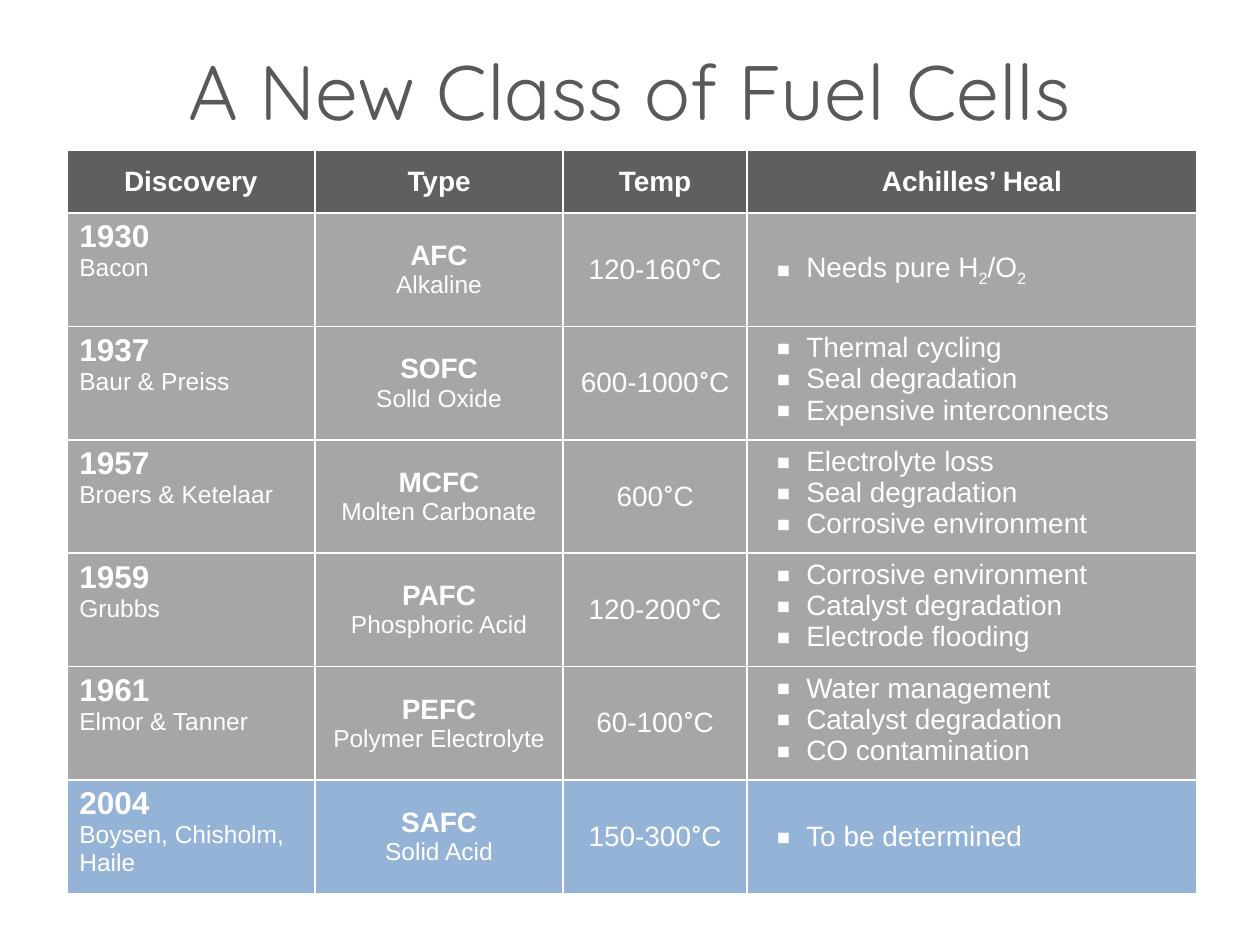
from lxml.etree import SubElement
from pptx import Presentation
from pptx.dml.color import RGBColor
from pptx.enum.text import MSO_ANCHOR, PP_ALIGN
from pptx.oxml.ns import qn
from pptx.util import Inches, Pt

COLORS = {
    "title": "595959",
    "header": "5F5F5F",
    "row": "A6A6A6",
    "highlight": "95B3D7",
    "white": "FFFFFF",
}
TITLE = "A New Class of Fuel Cells"
HEADERS = ["Discovery", "Type", "Temp", "Achilles’ Heal"]
SUBSCRIPT_TWO = ("2", {"baseline": -25000})

# year, discoverers, short name, full name, temperature, weaknesses
FUEL_CELLS = [
    ("1930", "Bacon", "AFC", "Alkaline", "120-160",
     [["Needs pure H", SUBSCRIPT_TWO, "/O", SUBSCRIPT_TWO]]),
    ("1937", "Baur & Preiss", "SOFC", "Solld Oxide", "600-1000",
     ["Thermal cycling", "Seal degradation", "Expensive interconnects"]),
    ("1957", "Broers & Ketelaar", "MCFC", "Molten Carbonate", "600",
     ["Electrolyte loss", "Seal degradation", "Corrosive environment"]),
    ("1959", "Grubbs", "PAFC", "Phosphoric Acid", "120-200",
     ["Corrosive environment", "Catalyst degradation", "Electrode flooding"]),
    ("1961", "Elmor & Tanner", "PEFC", "Polymer Electrolyte", "60-100",
     ["Water management", "Catalyst degradation", "CO contamination"]),
    ("2004", "Boysen, Chisholm, Haile", "SAFC", "Solid Acid", "150-300",
     ["To be determined"]),
]
COLUMN_WIDTHS = [1.97, 1.97, 1.46, 3.57]
HEADER_HEIGHT, ROW_HEIGHT = 0.5, 0.9


def add_bullet(paragraph):
    properties = paragraph._p.get_or_add_pPr()
    properties.set("marL", str(Inches(0.37)))
    properties.set("indent", str(Inches(-0.24)))
    color = SubElement(properties, qn("a:buClr"))
    SubElement(color, qn("a:srgbClr"), val=COLORS["white"])
    SubElement(properties, qn("a:buSzPct"), val="150000")
    SubElement(properties, qn("a:buFont"), typeface="Arial")
    SubElement(properties, qn("a:buChar"), char="▪")


def write(frame, text, size=16, bold=False, font="Arial", color="white",
          align=PP_ALIGN.LEFT, bullet=False):
    """Add a paragraph; text is a string or a list of strings and (string, format) pairs."""
    paragraph = frame.paragraphs[-1]
    if paragraph.runs:
        paragraph = frame.add_paragraph()
    paragraph.alignment = align
    if bullet:
        add_bullet(paragraph)
    for part in [text] if isinstance(text, str) else text:
        words, changes = (part, {}) if isinstance(part, str) else part
        run = paragraph.add_run()
        run.text = words
        run.font.size = Pt(size)
        run.font.bold = bold
        run.font.name = changes.get("font", font)
        run.font.color.rgb = RGBColor.from_string(COLORS[color])
        if "baseline" in changes:
            run._r.get_or_add_rPr().set("baseline", str(changes["baseline"]))


def style_cell(cell, fill, anchor):
    properties = cell._tc.get_or_add_tcPr()
    for side in ("lnL", "lnR", "lnT", "lnB"):
        line = SubElement(properties, qn(f"a:{side}"), w=str(Pt(1)))
        line_fill = SubElement(line, qn("a:solidFill"))
        SubElement(line_fill, qn("a:srgbClr"), val=COLORS["white"])
    cell.fill.solid()
    cell.fill.fore_color.rgb = RGBColor.from_string(COLORS[fill])
    cell.vertical_anchor = anchor


def add_title(slide):
    box = slide.shapes.add_textbox(Inches(0.5), Inches(0.3), Inches(9), Inches(1.25))
    box.text_frame.word_wrap = True
    write(box.text_frame, TITLE, size=44, font="Quicksand", color="title",
          align=PP_ALIGN.CENTER)


def add_fuel_cell_table(slide):
    row_heights = [HEADER_HEIGHT] + [ROW_HEIGHT] * len(FUEL_CELLS)
    table = slide.shapes.add_table(
        len(row_heights), len(COLUMN_WIDTHS), Inches(0.53), Inches(1.19),
        Inches(sum(COLUMN_WIDTHS)), Inches(sum(row_heights))).table
    table.first_row = table.horz_banding = False
    for column, width in zip(table.columns, COLUMN_WIDTHS):
        column.width = Inches(width)
    for row, height in zip(table.rows, row_heights):
        row.height = Inches(height)

    for cell, header in zip(table.rows[0].cells, HEADERS):
        style_cell(cell, "header", MSO_ANCHOR.MIDDLE)
        write(cell.text_frame, header, bold=True, align=PP_ALIGN.CENTER)

    for index, fuel_cell in enumerate(FUEL_CELLS, start=1):
        year, people, short_name, full_name, temperature, weaknesses = fuel_cell
        fill = "highlight" if index == len(FUEL_CELLS) else "row"
        list_anchor = MSO_ANCHOR.TOP if len(weaknesses) > 1 else MSO_ANCHOR.MIDDLE
        anchors = [MSO_ANCHOR.TOP, MSO_ANCHOR.MIDDLE, MSO_ANCHOR.MIDDLE, list_anchor]
        cells = list(table.rows[index].cells)
        for cell, anchor in zip(cells, anchors):
            style_cell(cell, fill, anchor)
        discovery, kind, heat, weakness_list = [cell.text_frame for cell in cells]
        write(discovery, year, size=18, bold=True)
        write(discovery, people, size=14)
        write(kind, short_name, bold=True, align=PP_ALIGN.CENTER)
        write(kind, full_name, size=14, align=PP_ALIGN.CENTER)
        write(heat, [temperature, ("°", {"font": "Roboto"}), "C"], align=PP_ALIGN.CENTER)
        for weakness in weaknesses:
            write(weakness_list, weakness, bullet=True)


def main():
    presentation = Presentation()
    presentation.slide_width = Inches(10)
    presentation.slide_height = Inches(7.5)
    slide = presentation.slides.add_slide(presentation.slide_layouts[6])
    add_title(slide)
    add_fuel_cell_table(slide)
    presentation.save("out.pptx")


if __name__ == "__main__":
    main()
